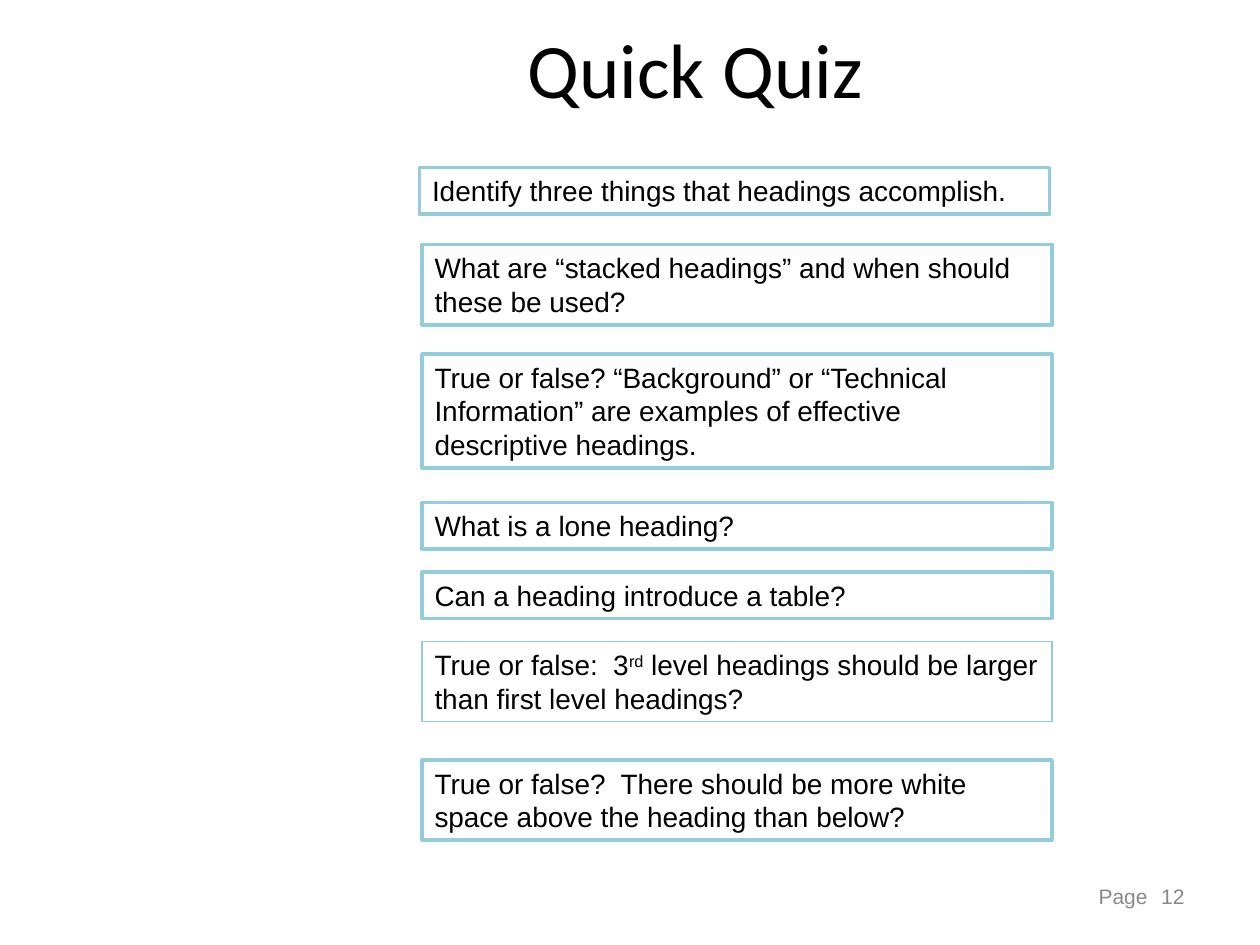
from pptx import Presentation
from pptx.dml.color import RGBColor
from pptx.enum.shapes import MSO_SHAPE as Shape
from pptx.enum.text import MSO_ANCHOR as Anchor, PP_ALIGN as Align
from pptx.util import Cm, Pt

BLACK, GREY, WHITE, BLUE = "000000", "898989", "FFFFFF", "93CDDD"
TITLE = "Quick Quiz"
PAGE_NUMBER = [("Page", 12), ("  ", 14), ("12", 12)]

# top (cm), lines of text, question as (text, superscript) spans
QUESTIONS = [
    (3.38, 1, [("Identify three things that headings accomplish.", False)]),
    (4.93, 2, [("What are “stacked headings” and when should these be used?", False)]),
    (7.14, 3, [("True or false? “Background” or “Technical Information” are "
                "examples of effective descriptive headings.", False)]),
    (10.13, 1, [("What is a lone heading?", False)]),
    (11.53, 1, [("Can a heading introduce a table?", False)]),
    (12.93, 2, [("True or false:  3", False), ("rd", True),
                (" level headings should be larger than first level headings?", False)]),
    (15.32, 2, [("True or false?  There should be more white space above the "
                 "heading than below?", False)]),
]
FIRST_LEFT, LEFT, WIDTH = 8.46, 8.51, 12.7
LINE_HEIGHT, PADDING = 0.68, 0.26
THIN, THICK = 0.75, 2


def color(value):
    return RGBColor.from_string(value)


def style(para, font, size, ink, align):
    para.alignment = align
    para.font.name, para.font.size = font, Pt(size)
    para.font.color.rgb = color(ink)


def add_label(page, left, top, width, height):
    """Add a wrapping, vertically centred text box and return its paragraph."""
    frame = page.shapes.add_textbox(Cm(left), Cm(top), Cm(width), Cm(height)).text_frame
    frame.word_wrap = True
    frame.vertical_anchor = Anchor.MIDDLE
    return frame.paragraphs[0]


def add_question(page, left, top, lines, spans, line_width):
    box = page.shapes.add_shape(Shape.RECTANGLE, Cm(left), Cm(top), Cm(WIDTH),
                                Cm(PADDING + lines * LINE_HEIGHT))
    box.shadow.inherit = False
    box.fill.solid()
    box.fill.fore_color.rgb = color(WHITE)
    box.line.color.rgb = color(BLUE)
    box.line.width = Pt(line_width)
    frame = box.text_frame
    frame.word_wrap = True
    frame.vertical_anchor = Anchor.TOP
    para = frame.paragraphs[0]
    style(para, "Arial", 16, BLACK, Align.LEFT)
    for text, superscript in spans:
        span = para.add_run()
        span.text = text
        if superscript:
            span._r.get_or_add_rPr().set("baseline", "30000")


def main():
    deck = Presentation()
    deck.slide_width, deck.slide_height = Cm(25.4), Cm(19.05)
    page = deck.slides.add_slide(deck.slide_layouts[6])

    title = add_label(page, 2.59, 0, 22.86, 2.72)
    title.text = TITLE
    style(title, "Calibri", 44, BLACK, Align.CENTER)

    for index, (top, lines, spans) in enumerate(QUESTIONS):
        left = FIRST_LEFT if index == 0 else LEFT
        add_question(page, left, top, lines, spans, THIN if len(spans) > 1 else THICK)

    footer = add_label(page, 18.21, 17.53, 5.92, 1.02)
    style(footer, "Arial", 12, GREY, Align.RIGHT)
    for text, size in PAGE_NUMBER:
        span = footer.add_run()
        span.text = text
        span.font.size = Pt(size)

    deck.save("out.pptx")


if __name__ == "__main__":
    main()
